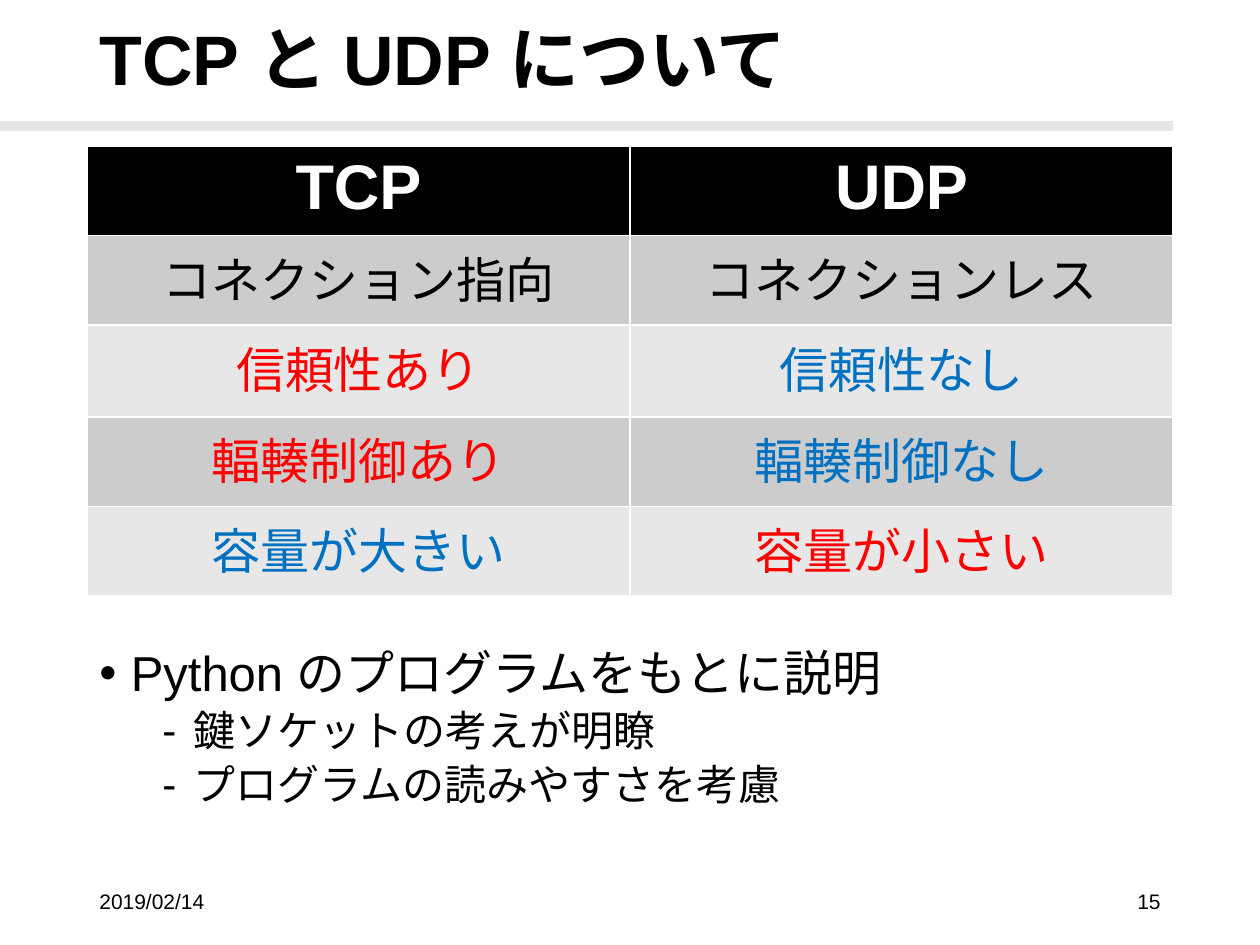
from lxml import etree
from pptx import Presentation, util as u
from pptx.dml.color import RGBColor
from pptx.enum import lang, shapes, text
from pptx.oxml import ns

WIDTH, HEIGHT = 10, 7.5
MARGIN = 0.69
CONTENT = WIDTH - 2 * MARGIN
FOOTER_TOP, FOOTER_WIDTH = 6.95, 2.25
BLACK, WHITE, RED, BLUE = "000000", "FFFFFF", "FF0000", "0070C0"
BANDS = ["CCCCCC", "E7E7E7"]
ROW_HEIGHTS = [0.71, 0.71, 0.73, 0.71, 0.71]
ROWS = [
    [("TCP", WHITE), ("UDP", WHITE)],
    [("コネクション指向", BLACK), ("コネクションレス", BLACK)],
    [("信頼性あり", RED), ("信頼性なし", BLUE)],
    [("輻輳制御あり", RED), ("輻輳制御なし", BLUE)],
    [("容量が大きい", BLUE), ("容量が小さい", RED)],
]
POINTS = [
    (0, "Python のプログラムをもとに説明"),
    (1, "鍵ソケットの考えが明瞭"),
    (1, "プログラムの読みやすさを考慮"),
]
LEVELS = [
    {"bullet": "•", "indent": 0.25, "before": 10, "size": 28},
    {"bullet": "-", "indent": 0.75, "before": 5, "size": 24},
]


def colour(value):
    """Turn a hex string into a colour."""
    return RGBColor.from_string(value)


def write(para, words, size, tint=BLACK, bold=False, **layout):
    """Put one formatted span of words into a paragraph."""
    span = para.add_run()
    span.text = words
    values = {"name": "Arial", "size": u.Pt(size), "bold": bold,
              "language_id": lang.MSO_LANGUAGE_ID.JAPANESE}
    for name, value in values.items():
        setattr(span.font, name, value)
    span.font.color.rgb = colour(tint)
    for name, value in layout.items():
        setattr(para, name, value)


def place(box, left, top, width, height):
    """Move and size a box in inches."""
    for name, value in zip(("left", "top", "width", "height"),
                           (left, top, width, height)):
        setattr(box, name, u.Inches(value))


def set_frame(box, anchor):
    """Wrap the text of a box, fix its size and return its frame."""
    frame = box.text_frame
    values = {"word_wrap": True, "auto_size": text.MSO_AUTO_SIZE.NONE,
              "vertical_anchor": anchor}
    for name, value in values.items():
        setattr(frame, name, value)
    return frame


def add_box(page, left, top, width, height, anchor):
    """Add a text box and return its frame."""
    box = page.shapes.add_textbox(*map(u.Inches, (left, top, width, height)))
    return set_frame(box, anchor)


def add_rule(page):
    """Draw the grey rule under the title."""
    rule = page.shapes.add_connector(
        shapes.MSO_CONNECTOR.STRAIGHT, 0, u.Inches(1),
        u.Inches(WIDTH - MARGIN), u.Inches(1))
    rule.line.width = u.Pt(6)
    rule.line.color.rgb = colour("E7E6E6")
    etree.SubElement(rule._element.spPr, ns.qn("a:effectLst"))


def set_title(page, words):
    """Place and fill the title."""
    title = page.shapes.title
    place(title, MARGIN, 0, CONTENT, 1)
    frame = set_frame(title, text.MSO_ANCHOR.MIDDLE)
    write(frame.paragraphs[0], words, 40, bold=True,
          alignment=text.PP_ALIGN.LEFT, line_spacing=0.9)


def add_comparison(page):
    """Add the table that sets TCP against UDP."""
    table = page.shapes.add_table(
        len(ROWS), len(ROWS[0]), u.Inches(MARGIN), u.Inches(1.16),
        u.Inches(CONTENT), u.Inches(sum(ROW_HEIGHTS))).table
    for r, (height, entries) in enumerate(zip(ROW_HEIGHTS, ROWS)):
        table.rows[r].height = u.Inches(height)
        header = r == 0
        for c, (words, tint) in enumerate(entries):
            cell = table.cell(r, c)
            cell.fill.solid()
            cell.fill.fore_color.rgb = colour(
                BLACK if header else BANDS[(r - 1) % 2])
            write(cell.text_frame.paragraphs[0], words, 36 if header else 28,
                  tint, header, alignment=text.PP_ALIGN.CENTER)


def set_bullet(para, mark, indent):
    """Give a paragraph a hanging bullet."""
    props = para._p.get_or_add_pPr()
    props.set("marL", str(u.Inches(indent)))
    props.set("indent", str(u.Inches(-0.25)))
    for tag, name, value in (("a:buFont", "typeface", "Arial"),
                             ("a:buChar", "char", mark)):
        etree.SubElement(props, ns.qn(tag)).set(name, value)


def add_points(page):
    """Add the bulleted text under the table."""
    frame = add_box(page, MARGIN, 5.1, CONTENT, 2.05, text.MSO_ANCHOR.TOP)
    for i, (level, words) in enumerate(POINTS):
        para = frame.add_paragraph() if i else frame.paragraphs[0]
        style = LEVELS[level]
        write(para, words, style["size"], level=level, line_spacing=0.9,
              space_before=u.Pt(style["before"]))
        set_bullet(para, style["bullet"], style["indent"])


def add_footer(page, words, left, align):
    """Add one small footer text."""
    frame = add_box(page, left, FOOTER_TOP, FOOTER_WIDTH, 0.4,
                    text.MSO_ANCHOR.MIDDLE)
    write(frame.paragraphs[0], words, 12, alignment=align)


def main():
    """Build the slide and save it."""
    deck = Presentation()
    deck.slide_width, deck.slide_height = u.Inches(WIDTH), u.Inches(HEIGHT)
    page = deck.slides.add_slide(deck.slide_layouts.get_by_name("Title Only"))
    add_rule(page)
    set_title(page, "TCP と UDP について")
    add_comparison(page)
    add_points(page)
    add_footer(page, "2019/02/14", MARGIN, text.PP_ALIGN.LEFT)
    add_footer(page, "15", WIDTH - MARGIN - FOOTER_WIDTH, text.PP_ALIGN.RIGHT)
    deck.save("out.pptx")


if __name__ == "__main__":
    main()
